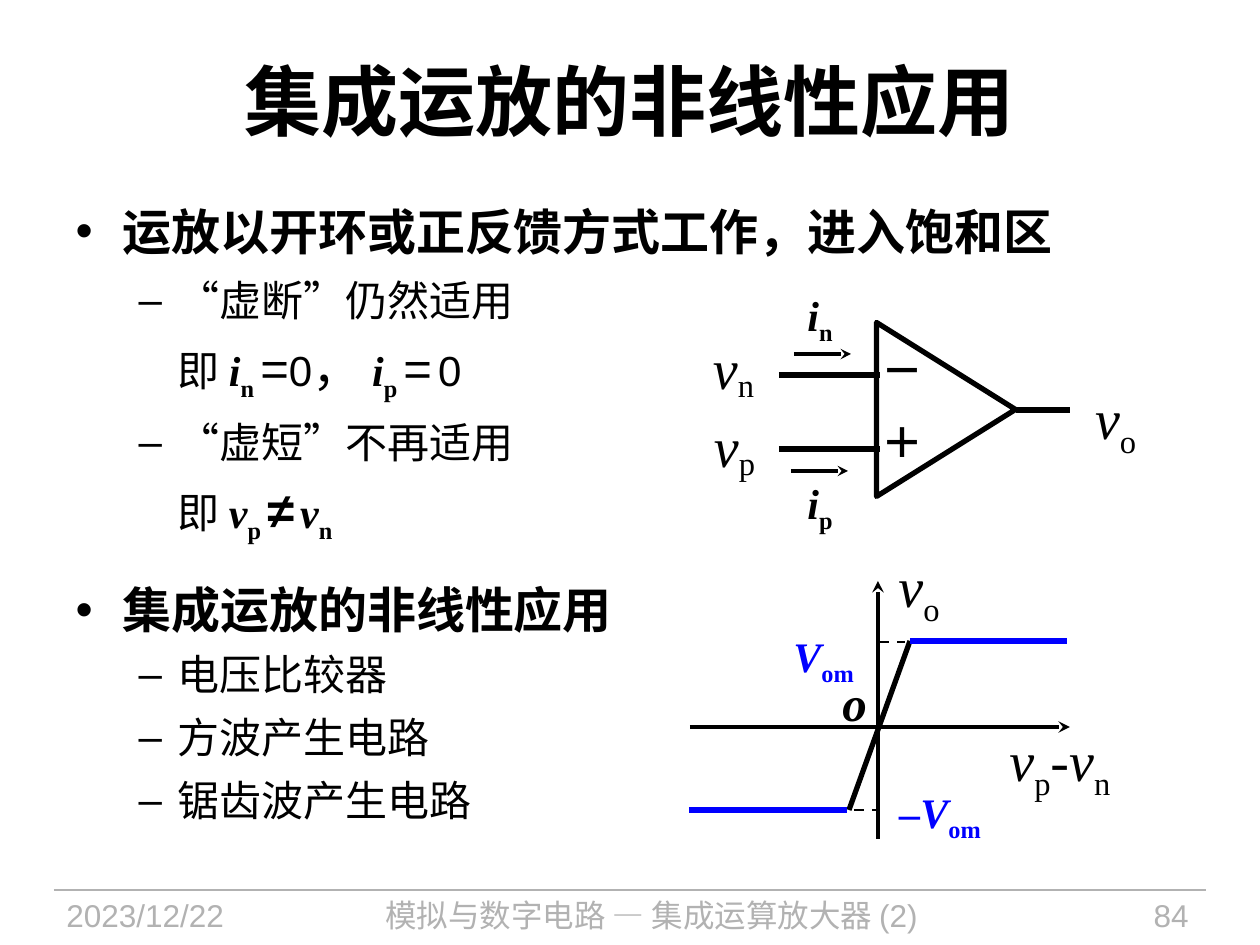
import pptx
import pptx.dml.color
import pptx.enum.dml
import pptx.enum.shapes
import pptx.enum.text
import pptx.oxml
import pptx.oxml.ns
import pptx.util

PX = 914400 / 126
BLACK, BLUE, GREY = "000000", "0000FF", "B2B2B2"
SANS, SERIF = "Arial", "Times New Roman"
ALIGN = pptx.enum.text.PP_ALIGN
ANCHOR = pptx.enum.text.MSO_ANCHOR


def px(*values):
    """Turn pixel lengths into EMU."""
    return [pptx.util.Emu(round(v * PX)) for v in values]


def rgb(value):
    """Turn a hex string into a colour."""
    return pptx.dml.color.RGBColor.from_string(value)


def sub(parent, tag, **attrs):
    """Append a DrawingML child element with attributes."""
    el = pptx.oxml.parse_xml(f"<{tag} {pptx.oxml.ns.nsdecls('a')}/>")
    for name, value in attrs.items():
        el.set(name, str(value))
    parent.append(el)
    return el


def add_run(p, text, size=24, font=SANS, color=BLACK, bold=False, italic=False, base=0):
    """Add a formatted run to a paragraph."""
    r = p.add_run()
    r.text = text
    f = r.font
    f.size, f.name, f.bold, f.italic = pptx.util.Pt(size), font, bold, italic
    f.color.rgb = rgb(color)
    rPr = r._r.get_or_add_rPr()
    rPr.set("lang", "zh-CN")
    if base:
        rPr.set("baseline", str(base * 1000))


def add_symbol(p, name, index, bold=True, base=-25, **fmt):
    """Add an italic serif quantity with an upright subscript."""
    add_run(p, name, font=SERIF, bold=bold, italic=True, **fmt)
    add_run(p, index, font=SERIF, bold=bold, base=base, **fmt)


def add_box(s, box, align=ALIGN.LEFT, anchor=ANCHOR.TOP, inset=True, wrap=True, spacing=None):
    """Add a text box and return its first paragraph."""
    tf = s.shapes.add_textbox(*px(*box)).text_frame
    tf.word_wrap, tf.vertical_anchor = wrap, anchor
    if not inset:
        tf.margin_left = tf.margin_top = tf.margin_right = tf.margin_bottom = 0
    p = tf.paragraphs[0]
    p.alignment, p.line_spacing = align, spacing
    return p


def add_line(s, ends, color=BLACK, width=3, dash=False, arrow=False):
    """Add a straight line, optionally dashed or with an arrowhead."""
    sp = s.shapes.add_connector(pptx.enum.shapes.MSO_CONNECTOR.STRAIGHT, *px(*ends))
    sp.line.color.rgb = rgb(color)
    sp.line.width = pptx.util.Pt(width)
    if dash:
        sp.line.dash_style = pptx.enum.dml.MSO_LINE.DASH
    if arrow:
        sub(sp.line._get_or_add_ln(), "a:tailEnd", type="stealth")
    sub(sp._element.spPr, "a:effectLst")


def add_item(tf, level=0, bullet=None, before=0, after=30):
    """Start a list paragraph and return it."""
    p = tf.paragraphs[0] if not tf.paragraphs[0].runs else tf.add_paragraph()
    p.level = level
    if before:
        p.space_before = pptx.util.Pt(before)
    else:
        p.space_before = 0
    pPr = p._p.get_or_add_pPr()
    margin, hang = px(*((102, 39) if level else (47, 47)))
    pPr.set("marL", str(margin))
    pPr.set("indent", str(-hang if bullet else 0))
    sub(sub(pPr, "a:spcAft"), "a:spcPct", val=after * 1000)
    if bullet:
        sub(pPr, "a:buFont", typeface=SANS)
        sub(pPr, "a:buChar", char=bullet)
    else:
        sub(pPr, "a:buNone")
    return p


def place(sp, box, anchor):
    """Move a placeholder and return its text frame."""
    sp.left, sp.top, sp.width, sp.height = px(*box)
    tf = sp.text_frame
    tf.auto_size = pptx.enum.text.MSO_AUTO_SIZE.NONE
    tf.vertical_anchor, tf.word_wrap = anchor, True
    return tf


def add_footer(s):
    """Add the footer rule, date, course name and page number."""
    add_line(s, (54, 890, 1206, 890), GREY, 0.75)
    for text, left, width, align in (
        ("2023/12/22", 54, 237, ALIGN.LEFT),
        ("模拟与数字电路 — 集成运算放大器 (2)", 314, 675, ALIGN.CENTER),
        ("84", 1033, 168, ALIGN.RIGHT),
    ):
        add_run(add_box(s, (left, 890, width, 55), align), text, size=18, color=GREY)


def fill_body(tf):
    """Write the two headed lists."""
    add_run(add_item(tf, bullet="•"), "运放以开环或正反馈方式工作，进入饱和区", size=28, bold=True)
    add_run(add_item(tf, 1, "–"), "“虚断”仍然适用")
    p = add_item(tf, 1)
    add_run(p, "即 ")
    add_symbol(p, "i", "n ")
    add_run(p, "=", size=28)
    add_run(p, "0")
    add_run(p, "， ", size=28)
    add_symbol(p, "i", "p ")
    add_run(p, "=", size=28)
    add_run(p, " ", font=SERIF, bold=True, base=-25)
    add_run(p, "0")
    add_run(add_item(tf, 1, "–"), "“虚短”不再适用")
    p = add_item(tf, 1)
    add_run(p, "即 ")
    add_symbol(p, "v", "p ")
    add_run(p, "≠", size=28, bold=True)
    add_run(p, " ", font=SERIF, bold=True, base=-25)
    add_symbol(p, "v", "n")
    add_run(add_item(tf, bullet="•", before=12, after=20), "集成运放的非线性应用", size=28, bold=True)
    for text in ("电压比较器", "方波产生电路", "锯齿波产生电路"):
        add_run(add_item(tf, 1, "–"), text)


def add_transfer_curve(s):
    """Draw the saturating transfer characteristic."""
    add_line(s, (878, 839, 878, 581), width=2.25, arrow=True)
    add_line(s, (690, 727, 1070, 727), width=2.25, arrow=True)
    for ends in ((854, 810, 879, 810), (879, 642, 905, 642)):
        add_line(s, ends, width=1.5, dash=True)
    add_line(s, (910, 641, 849, 810))
    for ends in ((910, 641, 1067, 641), (689, 810, 847, 810)):
        add_line(s, ends, BLUE)
    p = add_box(s, (997, 696, 157, 100), spacing=1.3)
    add_symbol(p, "v", "p", bold=False, size=32)
    add_run(p, "-", size=32, font=SERIF)
    add_symbol(p, "v", "n", bold=False, size=32)
    for name, box in (("V", (781, 624, 91, 63)), ("–V", (887, 780, 112, 63))):
        add_symbol(add_box(s, box, wrap=False), name, "om", color=BLUE)
    p = add_box(s, (830, 666, 50, 72), wrap=False)
    add_run(p, "o", size=28, font=SERIF, bold=True, italic=True)
    add_symbol(add_box(s, (886, 552, 91, 67), spacing=0.8), "v", "o", bold=False, size=32)


def add_amplifier(s):
    """Draw the operational amplifier with its terminals."""
    for index, left, top, base in (("n", 713, 319, -15), ("p", 714, 397, -15), ("o", 1095, 368, -25)):
        p = add_box(s, (left, top, 57, 81), inset=False, wrap=False, spacing=1.2)
        add_symbol(p, "v", index, bold=False, base=base, size=32)
    for sign, top in (("＋", 410), ("－", 338)):
        p = add_box(s, (852, top, 102, 63), ALIGN.CENTER, ANCHOR.MIDDLE, inset=False)
        add_run(p, sign, font=SERIF, bold=True)
    for ends in ((779, 375, 880, 375), (779, 449, 880, 449), (1016, 410, 1070, 410)):
        add_line(s, ends)
    sp = s.shapes.add_shape(pptx.enum.shapes.MSO_SHAPE.ISOSCELES_TRIANGLE, *px(859, 340, 174, 139))
    sp.rotation = 90
    sp.shadow.inherit = False
    sp.fill.background()
    sp.line.color.rgb = rgb(BLACK)
    sp.line.width = pptx.util.Pt(3)
    for index, top, left, y in (("n", 283, 794, 354), ("p", 471, 791, 471)):
        add_symbol(add_box(s, (795, top, 73, 63)), "i", index)
        add_line(s, (left, y, left + 57, y), width=2, arrow=True)


def main():
    """Build the slide and save it."""
    prs = pptx.Presentation()
    prs.slide_width, prs.slide_height = px(1260, 945)
    s = prs.slides.add_slide(prs.slide_layouts[1])
    add_footer(s)
    p = place(s.shapes.title, (63, 21, 1134, 158), ANCHOR.MIDDLE).paragraphs[0]
    p.alignment = ALIGN.CENTER
    add_run(p, "集成运放的非线性应用", size=44, bold=True)
    fill_body(place(s.placeholders[1], (63, 195, 1143, 684), ANCHOR.TOP))
    add_transfer_curve(s)
    add_amplifier(s)
    prs.save("out.pptx")


if __name__ == "__main__":
    main()
